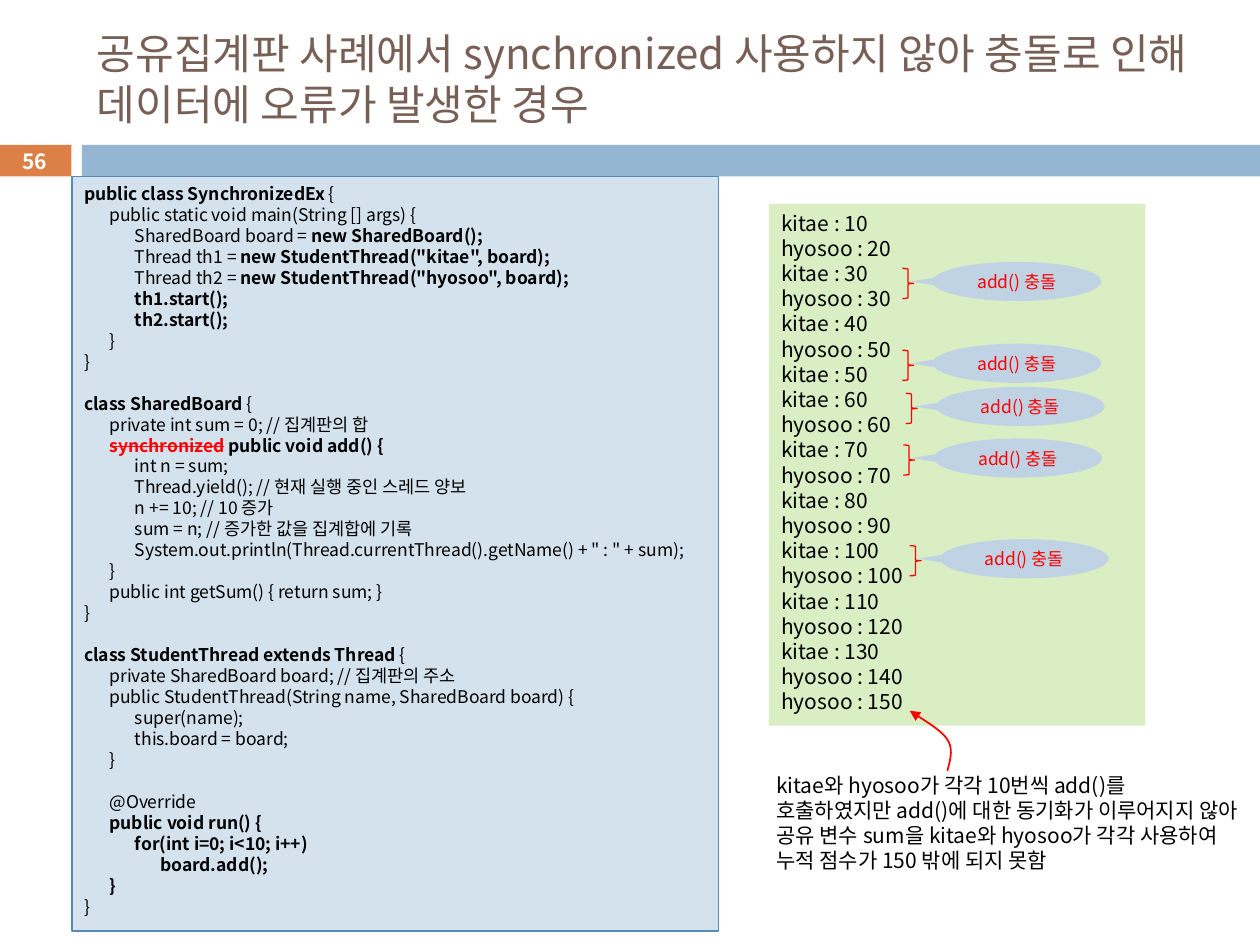
import pptx
import pptx.dml.color
import pptx.enum.shapes
import pptx.enum.text
import pptx.oxml.ns
import pptx.util
from lxml import etree

Cm, Pt = pptx.util.Cm, pptx.util.Pt
Kind = pptx.enum.shapes.MSO_SHAPE
Side = pptx.enum.text.PP_ALIGN
Anchor = pptx.enum.text.MSO_ANCHOR
qn = pptx.oxml.ns.qn

# | switches bold on and off, ~ switches red strikeout on and off
MAIN = """|public class SynchronizedEx |{
\tpublic static void main(String [] args) {
\t\tSharedBoard board = |new SharedBoard();|
\t\tThread th1 = |new StudentThread("kitae", board);|
\t\tThread th2 = |new StudentThread("hyosoo", board);|
\t\t|th1.start();|
\t\t|th2.start();|
\t}
}"""

BOARD = """|class SharedBoard| {
\tprivate int sum = 0; // 집계판의 합
\t|~synchronized~ public void add() {|
\t\tint n = sum;
\t\tThread.yield(); // 현재 실행 중인 스레드 양보
\t\tn += 10; // 10 증가
\t\tsum = n; // 증가한 값을 집계합에 기록
\t\tSystem.out.println(Thread.currentThread().getName() + " : " + sum);
\t}
\tpublic int getSum() { return sum; }
}"""

STUDENT = """|class StudentThread extends Thread |{
\tprivate SharedBoard board; // 집계판의 주소
\tpublic StudentThread(String name, SharedBoard board) {
\t\tsuper(name);
\t\tthis.board = board;
\t}"""

RUN = """\t@Override
\t|public void run() {|
\t\t|for(int i=0; i<10; i++)|
\t\t\t|board.add();|
\t|}|
}"""

OUTPUT = """kitae : 10
hyosoo : 20
kitae : 30
hyosoo : 30
kitae : 40
hyosoo : 50
kitae : 50
kitae : 60
hyosoo : 60
kitae : 70
hyosoo : 70
kitae : 80
hyosoo : 90
kitae : 100
hyosoo : 100
kitae : 110
hyosoo : 120
kitae : 130
hyosoo : 140
hyosoo : 150"""

TITLE = "공유집계판 사례에서 synchronized 사용하지 않아 충돌로 인해 데이터에 오류가 발생한 경우"
NOTE = ("kitae와 hyosoo가 각각 10번씩 add()를 호출하였지만 add()에 대한 동기화가 이루어지지 않아 "
        "공유 변수 sum을 kitae와 hyosoo가 각각 사용하여 누적 점수가 150 밖에 되지 못함")
CLASHES = [(18.8, 5.28), (18.8, 6.93), (18.87, 7.8), (18.82, 8.84), (18.95, 10.87)]
CURVE = [(19.1, 15.54), (19.15, 15.34), (19.23, 15.11), (19.1, 14.91),
         (18.97, 14.71), (18.64, 14.53), (18.34, 14.33)]


def color(text):
    return pptx.dml.color.RGBColor.from_string(text)


def bezier(a, b, c, d, steps=12):
    """Points along a cubic curve, without its start."""
    for i in range(1, steps + 1):
        t = i / steps
        u = 1 - t
        yield tuple(u**3 * p + 3 * u * u * t * q + 3 * u * t * t * r + t**3 * s
                    for p, q, r, s in zip(a, b, c, d))


class Deck:
    font = "Noto Sans CJK KR"
    red = "FF0000"
    leading = 1.2

    def __init__(self, show):
        self.slide = show.slides.add_slide(show.slide_layouts[5])

    def run(self, par, text, size, tone="000000", bold=False, strike=False):
        run = par.add_run()
        run.text = text
        font = run.font
        font.name, font.size, font.bold = self.font, Pt(size), bold
        font.color.rgb = color(tone)
        props = run._r.get_or_add_rPr()
        etree.SubElement(props, qn("a:ea"), typeface=self.font)
        if strike:
            props.set("strike", "sngStrike")

    def style(self, par, size, align=Side.LEFT):
        par.alignment = align
        par.line_spacing = Pt(round(size * self.leading, 1))

    def frame(self, shape, anchor=Anchor.TOP):
        frame = shape.text_frame
        frame.word_wrap = True
        frame.vertical_anchor = anchor
        return frame

    def lines(self, shape, text, size, tone="000000", align=Side.LEFT,
              anchor=Anchor.TOP, bold=False):
        frame = self.frame(shape, anchor)
        for i, line in enumerate(text.split("\n")):
            par = frame.add_paragraph() if i else frame.paragraphs[0]
            self.style(par, size, align)
            self.run(par, line, size, tone, bold)

    def code(self, shape, blocks, size=10):
        frame = self.frame(shape)
        frame.margin_right = 0
        par = None
        for block in blocks:
            for i, line in enumerate(block.split("\n")):
                gap = par is not None and i == 0
                par = frame.paragraphs[0] if par is None else frame.add_paragraph()
                self.style(par, size)
                if gap:
                    par.space_before = Pt(size * self.leading)
                self.markup(par, line, size)

    def markup(self, par, line, size):
        tabs = etree.SubElement(par._p.get_or_add_pPr(), qn("a:tabLst"))
        for stop in (1, 2, 3):
            etree.SubElement(tabs, qn("a:tab"), pos=str(Cm(0.51 * stop)), algn="l")
        for i, part in enumerate(line.split("|")):
            for j, bit in enumerate(part.split("~")):
                if bit:
                    cut = j % 2 == 1
                    self.run(par, bit, size, self.red if cut else "000000", i % 2 == 1, cut)

    def title(self, text, *box):
        shape = self.slide.shapes.title
        shape.left, shape.top, shape.width, shape.height = map(Cm, box)
        self.lines(shape, text, 24, "775F55", anchor=Anchor.MIDDLE)

    def label(self, text, *box):
        shape = self.slide.shapes.add_textbox(*map(Cm, box))
        self.lines(shape, text, 12)

    def shape(self, kind, *box, fill=None, line=None, width=0.75):
        shape = self.slide.shapes.add_shape(kind, *map(Cm, box))
        self.paint(shape, fill, line, width)
        return shape

    def paint(self, shape, fill, line, width):
        shape.shadow.inherit = False
        if fill:
            shape.fill.solid()
            shape.fill.fore_color.rgb = color(fill)
        else:
            shape.fill.background()
        if line:
            shape.line.color.rgb = color(line)
            shape.line.width = Pt(width)
        else:
            shape.line.fill.background()

    def clash(self, left, top):
        """A brace over two output lines and the callout pointing at it."""
        bubble = self.shape(Kind.OVAL_CALLOUT, left, top, 3.4, 0.79, fill="BFD3E4")
        bubble.adjustments[0], bubble.adjustments[1] = -0.63, 0
        self.lines(bubble, "add() 충돌", 10, self.red, Side.CENTER, Anchor.MIDDLE)
        frame = bubble.text_frame
        frame.margin_left = frame.margin_right = frame.margin_top = frame.margin_bottom = 0
        self.shape(Kind.RIGHT_BRACE, left - 0.61, top + 0.13, 0.23, 0.61, line=self.red)

    def arrow(self, knots):
        dots = [*bezier(*knots[:4]), *bezier(*knots[3:])]
        pen = self.slide.shapes.build_freeform(*map(Cm, knots[0]))
        pen.add_line_segments([tuple(map(Cm, dot)) for dot in dots], close=False)
        shape = pen.convert_to_shape()
        self.paint(shape, None, self.red, 1)
        etree.SubElement(shape.line._get_or_add_ln(), qn("a:tailEnd"), type="triangle")


def main():
    show = pptx.Presentation()
    show.slide_width, show.slide_height = Cm(25.4), Cm(19.05)
    deck = Deck(show)
    page = deck.shape(Kind.RECTANGLE, -0.03, 2.92, 1.47, 0.64, fill="DD8047")
    deck.lines(page, "56", 12, "FFFFFF", Side.CENTER, Anchor.MIDDLE, True)
    deck.shape(Kind.RECTANGLE, 1.65, 2.92, 23.75, 0.64, fill="94B6D2")
    deck.title(TITLE, 1.7, 0.64, 22.66, 1.88)
    deck.label(NOTE, 15.4, 15.44, 9.9, 2.31)
    board = deck.shape(Kind.RECTANGLE, 15.5, 4.11, 7.59, 10.52, fill="DAEEC4")
    deck.lines(board, OUTPUT, 12)
    for spot in CLASHES:
        deck.clash(*spot)
    deck.arrow(CURVE)
    panel = deck.shape(Kind.RECTANGLE, 1.45, 3.56, 13.03, 15.21, fill="D4E2ED", line="558BB8")
    deck.code(panel, (MAIN, BOARD, STUDENT, RUN))
    show.save("out.pptx")


if __name__ == "__main__":
    main()
